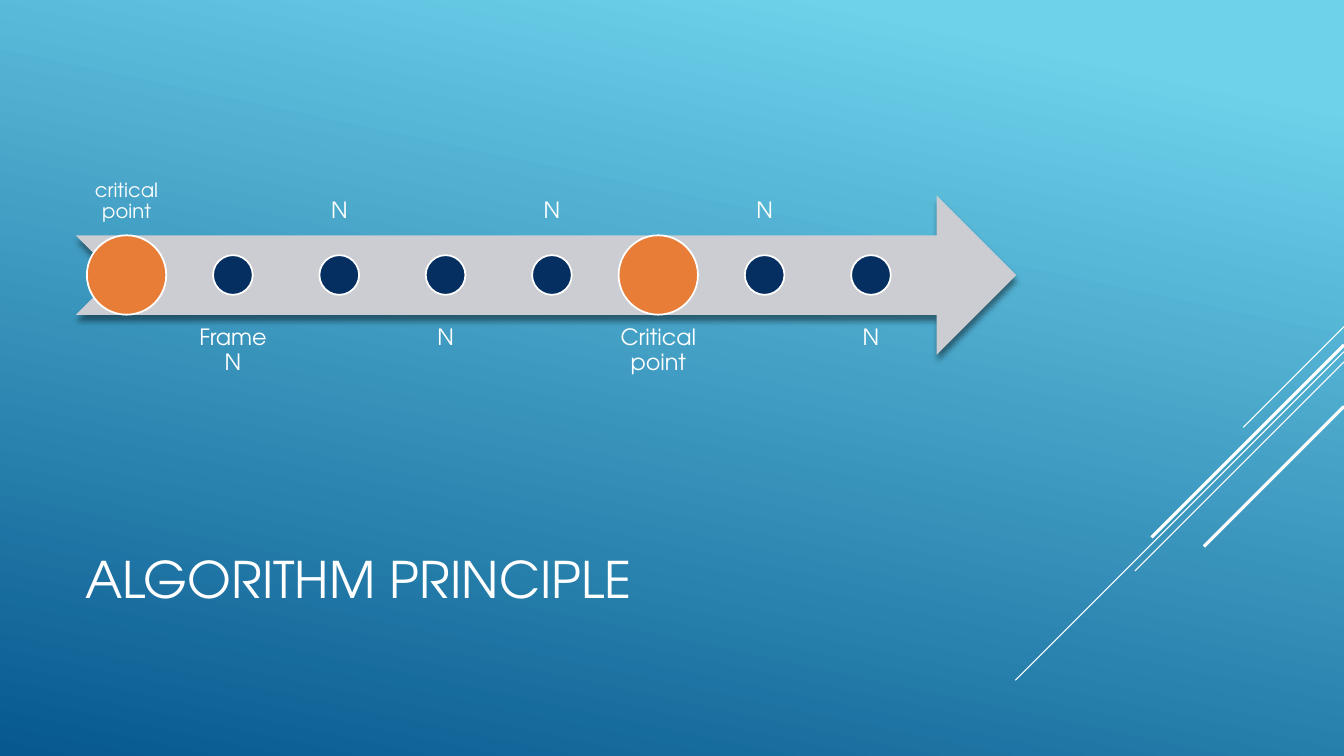
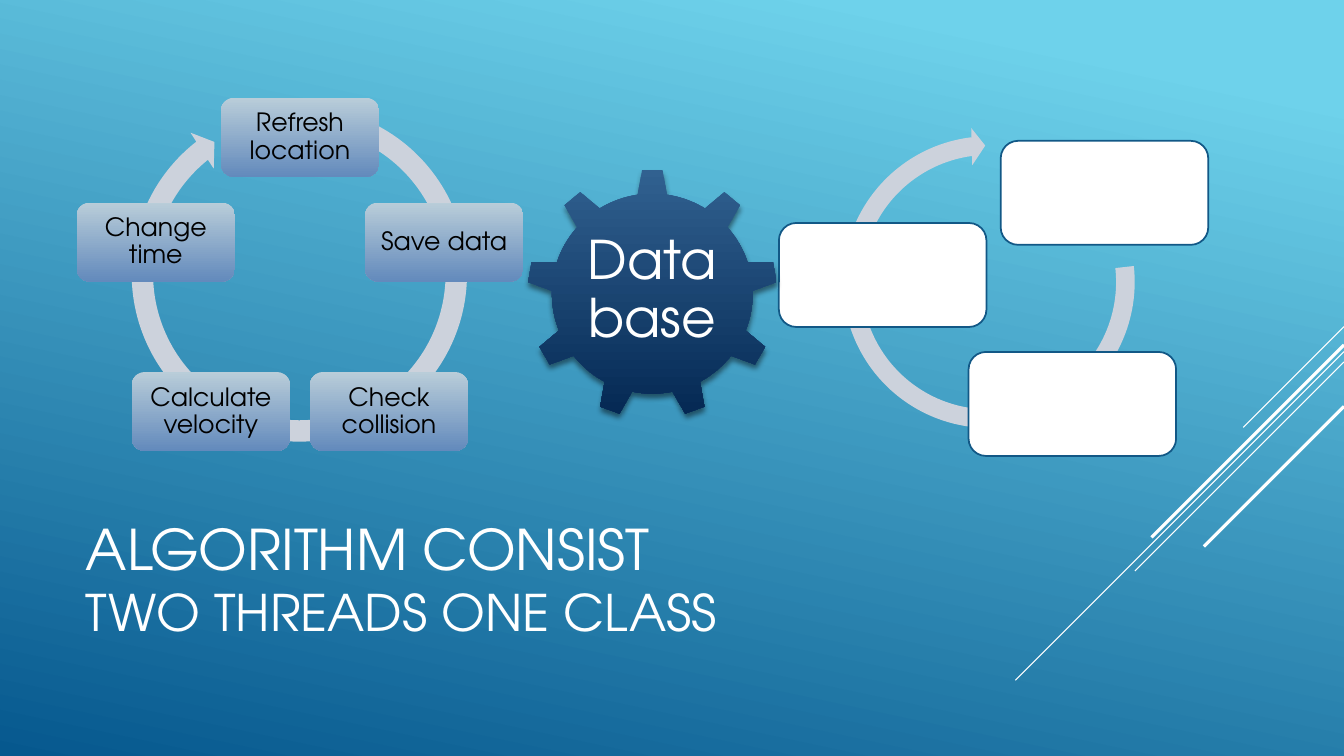
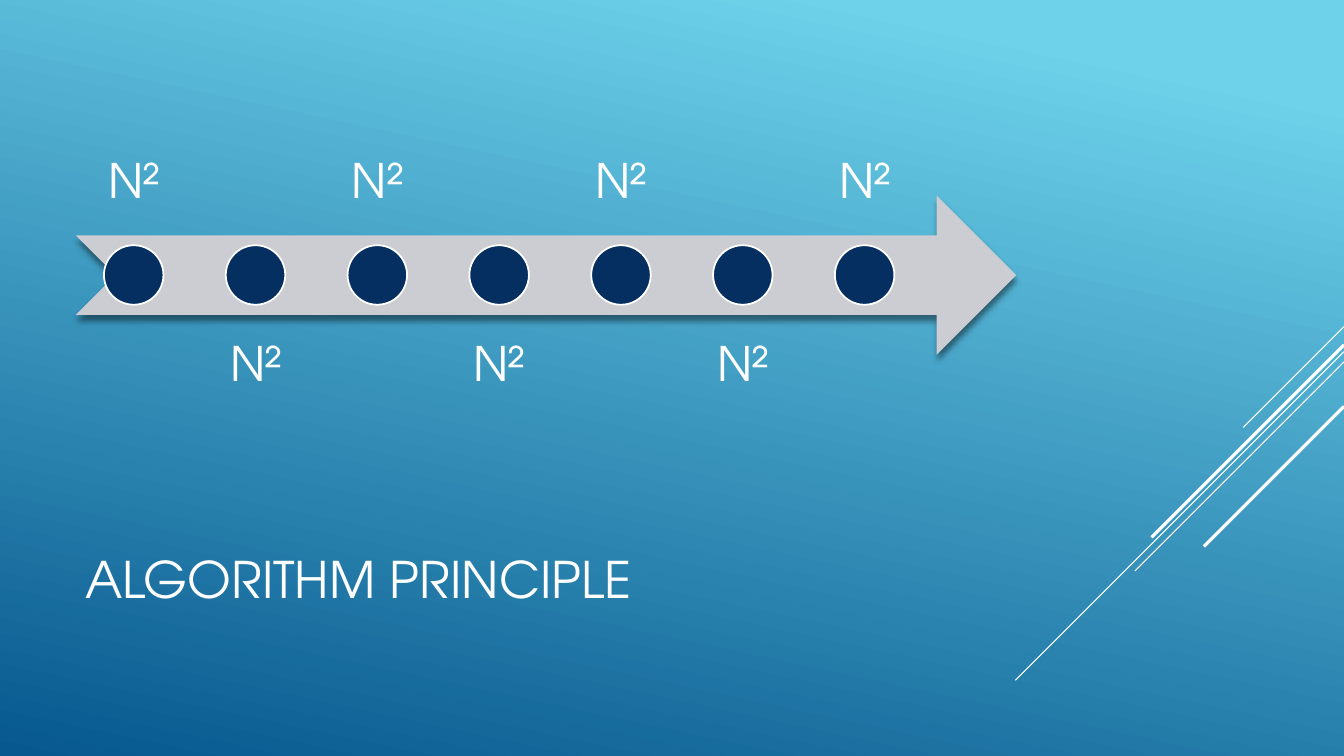
import math

import lxml.etree
import pptx
import pptx.dml.color
import pptx.enum.shapes
import pptx.enum.text
import pptx.oxml.ns
import pptx.util

Cm = pptx.util.Cm
Pt = pptx.util.Pt
RGBColor = pptx.dml.color.RGBColor
SHAPE = pptx.enum.shapes.MSO_SHAPE
ANCHOR = pptx.enum.text.MSO_ANCHOR
ALIGN = pptx.enum.text.PP_ALIGN
qn = pptx.oxml.ns.qn

FONT = "TeX Gyre Adventor"
WIDTH, HEIGHT = 33.87, 19.05
LEFT = 1.91

WHITE = RGBColor(0xFF, 0xFF, 0xFF)
BLACK = RGBColor(0x00, 0x00, 0x00)
SKY = RGBColor(0x6E, 0xD2, 0xEB)
OCEAN = RGBColor(0x06, 0x58, 0x8E)
NAVY = RGBColor(0x05, 0x2F, 0x61)
ORANGE = RGBColor(0xE8, 0x7D, 0x37)
BAND_GREY = RGBColor(0xCC, 0xCD, 0xD2)
RING_GREY = RGBColor(0xCC, 0xD2, 0xDC)
BOX_EDGE = RGBColor(0x12, 0x58, 0x86)
STEP_COLORS = (RGBColor(0xB9, 0xCD, 0xD9), RGBColor(0x63, 0x8A, 0xBC))
GEAR_COLORS = (RGBColor(0x31, 0x61, 0x90), RGBColor(0x04, 0x28, 0x53))

# Diagonal rays from the right edge: start height, run to the left, line width
RAYS = [(8.23, 2.54, 0.75), (8.86, 8.28, 0.75), (9.12, 5.27, 0.75),
        (8.69, 4.85, 2.25), (10.24, 3.53, 2.25)]


def paint_gradient(fill, colors, clockwise, start=0):
    fill.gradient()
    fill.gradient_angle = 360 - clockwise
    for stop, color, position in zip(fill.gradient_stops, colors, (start, 1)):
        stop.color.rgb = color
        stop.position = position


class Deck:
    """The shared style and the slide being built; lengths are in cm."""

    def __init__(self):
        self.prs = pptx.Presentation()
        self.prs.slide_width = Cm(WIDTH)
        self.prs.slide_height = Cm(HEIGHT)
        self.s = None

    def slide(self, *title):
        """Start a slide; the title is given as (text, size) lines."""
        self.s = self.prs.slides.add_slide(self.prs.slide_layouts[6])
        paint_gradient(self.s.background.fill, (SKY, OCEAN), 102, start=0.1)
        for y, run, width in RAYS:
            self.ray(y, run, width)
        box = self.s.shapes.add_textbox(Cm(LEFT), Cm(12.47), Cm(23.7), Cm(4.19))
        tf = box.text_frame
        tf.word_wrap = True
        tf.vertical_anchor = ANCHOR.MIDDLE
        for i, (text, size) in enumerate(title):
            p = tf.add_paragraph() if i else tf.paragraphs[0]
            self.style(p, text, size, WHITE)

    def ray(self, y, run, width):
        line = self.s.shapes.add_connector(
            pptx.enum.shapes.MSO_CONNECTOR.STRAIGHT,
            Cm(WIDTH), Cm(y), Cm(WIDTH - run), Cm(y + run))
        line.line.color.rgb = WHITE
        line.line.width = Pt(width)
        lxml.etree.SubElement(line._element.spPr, qn("a:effectLst"))

    def style(self, p, text, size, color):
        p.text = text
        p.font.name = FONT
        p.font.size = Pt(size)
        p.font.color.rgb = color

    def label(self, shape, text, size, color, margin, anchor=ANCHOR.MIDDLE):
        """Put centred, tightly spaced text into a shape or text box."""
        tf = shape.text_frame
        tf.word_wrap = True
        tf.vertical_anchor = anchor
        tf.margin_left = tf.margin_right = Cm(margin)
        tf.margin_top = tf.margin_bottom = Cm(margin)
        p = tf.paragraphs[0]
        p.alignment = ALIGN.CENTER
        p.line_spacing = 0.9
        self.style(p, text, size, color)

    def shape(self, kind, x, y, w, h, fill, edge=None):
        """Add a preset shape; a pair of colours gives a downward gradient."""
        shape = self.s.shapes.add_shape(kind, Cm(x), Cm(y), Cm(w), Cm(h))
        shape.shadow.inherit = False
        if isinstance(fill, RGBColor):
            shape.fill.solid()
            shape.fill.fore_color.rgb = fill
        else:
            paint_gradient(shape.fill, fill, 90)
        if edge is None:
            shape.line.fill.background()
        else:
            shape.line.color.rgb = edge
            shape.line.width = Pt(1.25)
        return shape

    def drop_shadow(self, shape, alpha, distance):
        effects = shape._element.spPr.find(qn("a:effectLst"))
        shadow = lxml.etree.SubElement(
            effects, qn("a:outerShdw"), blurRad=str(Pt(4)),
            dist=str(Pt(distance)), dir="5400000", rotWithShape="0")
        color = lxml.etree.SubElement(shadow, qn("a:srgbClr"), val="000000")
        lxml.etree.SubElement(color, qn("a:alpha"), val=str(alpha * 1000))

    def ring_arrow(self, x, y, size, adjustments, rotation=0):
        ring = self.shape(SHAPE.CIRCULAR_ARROW, x, y, size, size, RING_GREY)
        for i, value in enumerate(adjustments):
            ring.adjustments[i] = value
        ring.rotation = rotation

    def timeline(self, points, first, pitch, margin):
        """Draw a band of dots: (label, text size, diameter, colour) each."""
        top, height, middle = 4.93, 4.01, 6.93
        band = self.shape(SHAPE.NOTCHED_RIGHT_ARROW, LEFT, top, 23.7, height,
                          BAND_GREY)
        self.drop_shadow(band, alpha=43, distance=4)
        label_width = pitch * 0.96
        for i, (text, size, diameter, color) in enumerate(points):
            x = first + i * pitch
            y, anchor = (7.93, ANCHOR.TOP) if i % 2 else (1.91, ANCHOR.BOTTOM)
            box = self.s.shapes.add_textbox(
                Cm(x - label_width / 2), Cm(y), Cm(label_width), Cm(height))
            self.label(box, text, size, WHITE, margin, anchor)
            self.shape(SHAPE.OVAL, x - diameter / 2, middle - diameter / 2,
                       diameter, diameter, color, WHITE)

    def step_cycle(self, steps, cx, cy, radius):
        """Place step boxes clockwise on a circle, starting at the top."""
        w, h = 3.99, 1.99
        for i, text in enumerate(steps):
            angle = 2 * math.pi * i / len(steps)
            x = cx + radius * math.sin(angle)
            y = cy - radius * math.cos(angle)
            box = self.shape(SHAPE.ROUNDED_RECTANGLE, x - w / 2, y - h / 2,
                             w, h, STEP_COLORS)
            self.label(box, text, 18, BLACK, 0.18)


def main():
    deck = Deck()

    deck.slide(("ALGORITHM PRINCIPLE", 36))
    frame = ("N", 16, 1, NAVY)
    deck.timeline([("critical point", 14, 2, ORANGE),
                   ("Frame N", 16, 1, NAVY), frame, frame, frame,
                   ("Critical point", 16, 2, ORANGE), frame, frame],
                  first=3.19, pitch=2.68, margin=0.3)

    deck.slide(("ALGORITHM CONSIST", 40), ("TWO THREADS ONE CLASS", 36))
    deck.ring_arrow(3.05, 2.41, 8.99, (0.06, 3.31, 139.04, 173.08, 0.06))
    deck.step_cycle(["Refresh location", "Save data", "Check collision",
                     "Calculate velocity", "Change time"],
                    cx=7.56, cy=7.28, radius=3.82)
    deck.ring_arrow(21.01, 3.2, 7.82, (0.06, 3.41, 126.54, 181.07, 0.06), 51.9)
    for x, y in [(25.22, 3.55), (24.41, 8.87), (19.63, 5.62)]:
        deck.shape(SHAPE.ROUNDED_RECTANGLE, x, y, 5.23, 2.62, WHITE, BOX_EDGE)
    gear = deck.shape(SHAPE.GEAR_9, 13.28, 4.25, 6.32, 6.3, GEAR_COLORS)
    deck.drop_shadow(gear, alpha=46, distance=3)
    deck.label(gear, "Data base", 38, WHITE, 0.13)

    deck.slide(("ALGORITHM PRINCIPLE", 36))
    deck.timeline([("N²", 34, 1.5, NAVY)] * 7,
                  first=3.37, pitch=3.07, margin=0.66)

    deck.prs.save("out.pptx")


if __name__ == "__main__":
    main()
